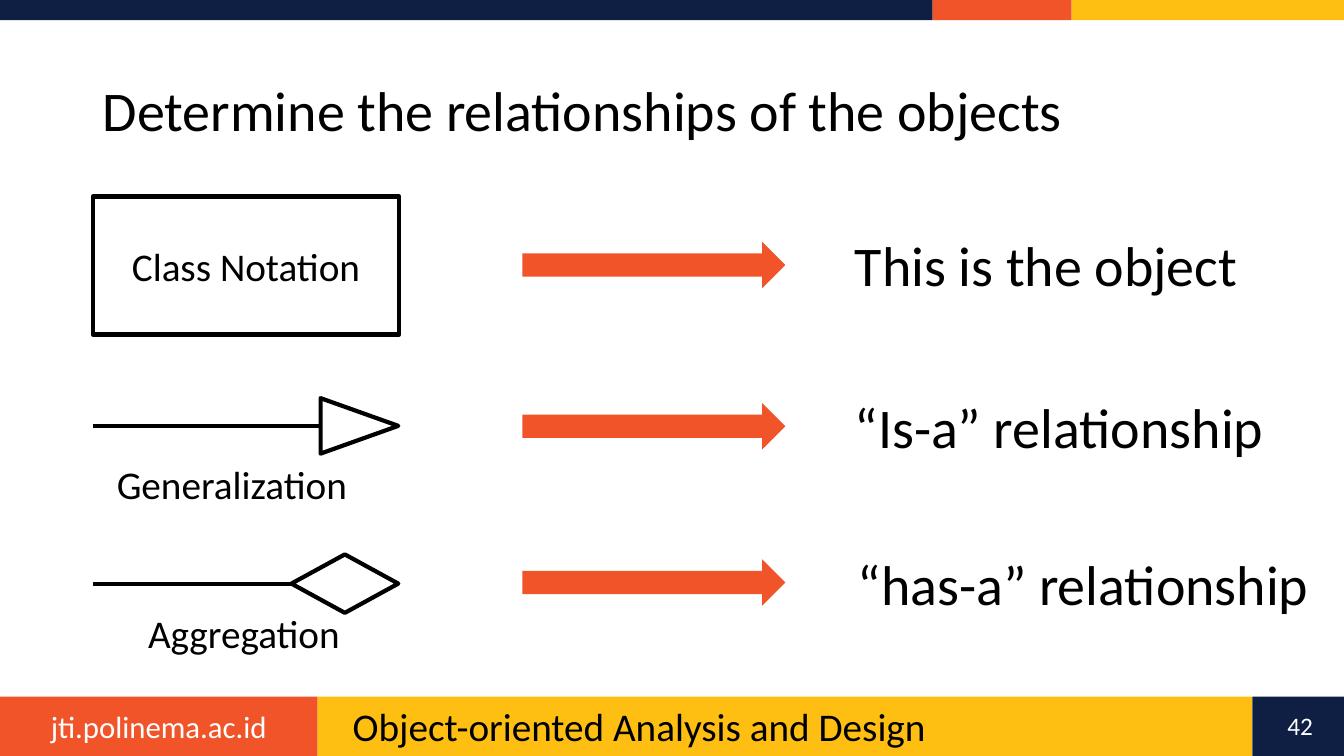
from lxml import etree
from pptx import Presentation
from pptx.dml.color import RGBColor
from pptx.enum.shapes import MSO_CONNECTOR, MSO_SHAPE
from pptx.enum.text import MSO_ANCHOR, PP_ALIGN
from pptx.oxml.ns import qn
from pptx.util import Inches, Pt

NAVY = RGBColor(0x0E, 0x1F, 0x43)
ORANGE = RGBColor(0xF1, 0x54, 0x29)
YELLOW = RGBColor(0xFE, 0xBF, 0x12)
BLACK = RGBColor(0, 0, 0)
WHITE = RGBColor(0xFF, 0xFF, 0xFF)

deck = Presentation()
deck.slide_width = Inches(13.33)
deck.slide_height = Inches(7.5)
slide = deck.slides.add_slide(deck.slide_layouts[6])


def add_shape(kind, left, top, width, height, fill=None):
    """Add a filled shape without a line, or a black outline if fill is None."""
    shape = slide.shapes.add_shape(
        kind, Inches(left), Inches(top), Inches(width), Inches(height))
    shape.shadow.inherit = False
    if fill is None:
        shape.fill.background()
        shape.line.color.rgb = BLACK
        shape.line.width = Pt(3)
    else:
        shape.fill.solid()
        shape.fill.fore_color.rgb = fill
        shape.line.fill.background()
    return shape


def write(box, text, size, color=BLACK, align=PP_ALIGN.LEFT,
          anchor=MSO_ANCHOR.TOP, spacing=1.0):
    frame = box.text_frame
    frame.word_wrap = True
    frame.vertical_anchor = anchor
    frame.text = text
    para = frame.paragraphs[0]
    para.alignment = align
    para.line_spacing = spacing
    para.font.name = "Calibri"
    para.font.size = Pt(size)
    para.font.color.rgb = color


# Top and bottom colour bands
bands = [
    (0, 0.2, [(9.25, NAVY), (1.38, ORANGE), (2.7, YELLOW)]),
    (6.91, 0.59, [(3.15, ORANGE), (9.27, YELLOW), (0.91, NAVY)]),
]
for top, height, segments in bands:
    left = 0
    for width, color in segments:
        add_shape(MSO_SHAPE.RECTANGLE, left, top, width, height, color)
        left += width

# Title and footer
CENTER, LEFT = PP_ALIGN.CENTER, PP_ALIGN.LEFT
TOP, MIDDLE = MSO_ANCHOR.TOP, MSO_ANCHOR.MIDDLE
framing = [
    ("Determine the relationships of the objects",
     0.92, 0.4, 10.24, 1.45, 40, BLACK, LEFT, MIDDLE, 0.9),
    ("jti.polinema.ac.id", 0, 6.97, 3.15, 0.47, 22, WHITE, CENTER, TOP, 1.0),
    ("Object-oriented Analysis and Design",
     3.4, 6.97, 8.74, 0.4, 28, BLACK, LEFT, TOP, 0.9),
    ("42", 12.59, 7, 0.61, 0.4, 18, WHITE, CENTER, TOP, 1.0),
]
for text, left, top, width, height, *style in framing:
    box = slide.shapes.add_textbox(
        Inches(left), Inches(top), Inches(width), Inches(height))
    write(box, text, *style)

# Notation symbols
class_box = add_shape(MSO_SHAPE.RECTANGLE, 0.92, 1.95, 3.04, 1.37)
write(class_box, "Class Notation", 28, align=CENTER, anchor=MIDDLE)

symbols = [
    (MSO_SHAPE.ISOSCELES_TRIANGLE, 3.29, 3.84, 0.55, 0.77, 3.18, 4.23),
    (MSO_SHAPE.DIAMOND, 3.13, 5.26, 0.58, 1.06, 2.89, 5.79),
]
for kind, left, top, width, height, line_end, line_y in symbols:
    line = slide.shapes.add_connector(
        MSO_CONNECTOR.STRAIGHT, Inches(0.92), Inches(line_y),
        Inches(line_end), Inches(line_y))
    line.line.color.rgb = BLACK
    line.line.width = Pt(3)
    etree.SubElement(line.element.spPr, qn("a:effectLst"))
    add_shape(kind, left, top, width, height).rotation = 90

# Arrows from each symbol to its meaning
for arrow_top in (2.4, 4, 5.55):
    add_shape(MSO_SHAPE.RIGHT_ARROW, 5.18, arrow_top, 2.61, 0.46, ORANGE)

labels = [
    ("Generalization", 1.06, 4.52, 2.51, 0.57, 28),
    ("Aggregation", 1.37, 6, 2.12, 0.57, 28),
    ("This is the object", 8.38, 2.24, 4.03, 0.77, 40),
    ("“Is-a” relationship", 8.38, 3.84, 4.3, 0.77, 40),
    ("“has-a” relationship", 8.41, 5.4, 4.72, 0.77, 40),
]
for text, left, top, width, height, size in labels:
    box = slide.shapes.add_textbox(
        Inches(left), Inches(top), Inches(width), Inches(height))
    write(box, text, size)

deck.save("out.pptx")
